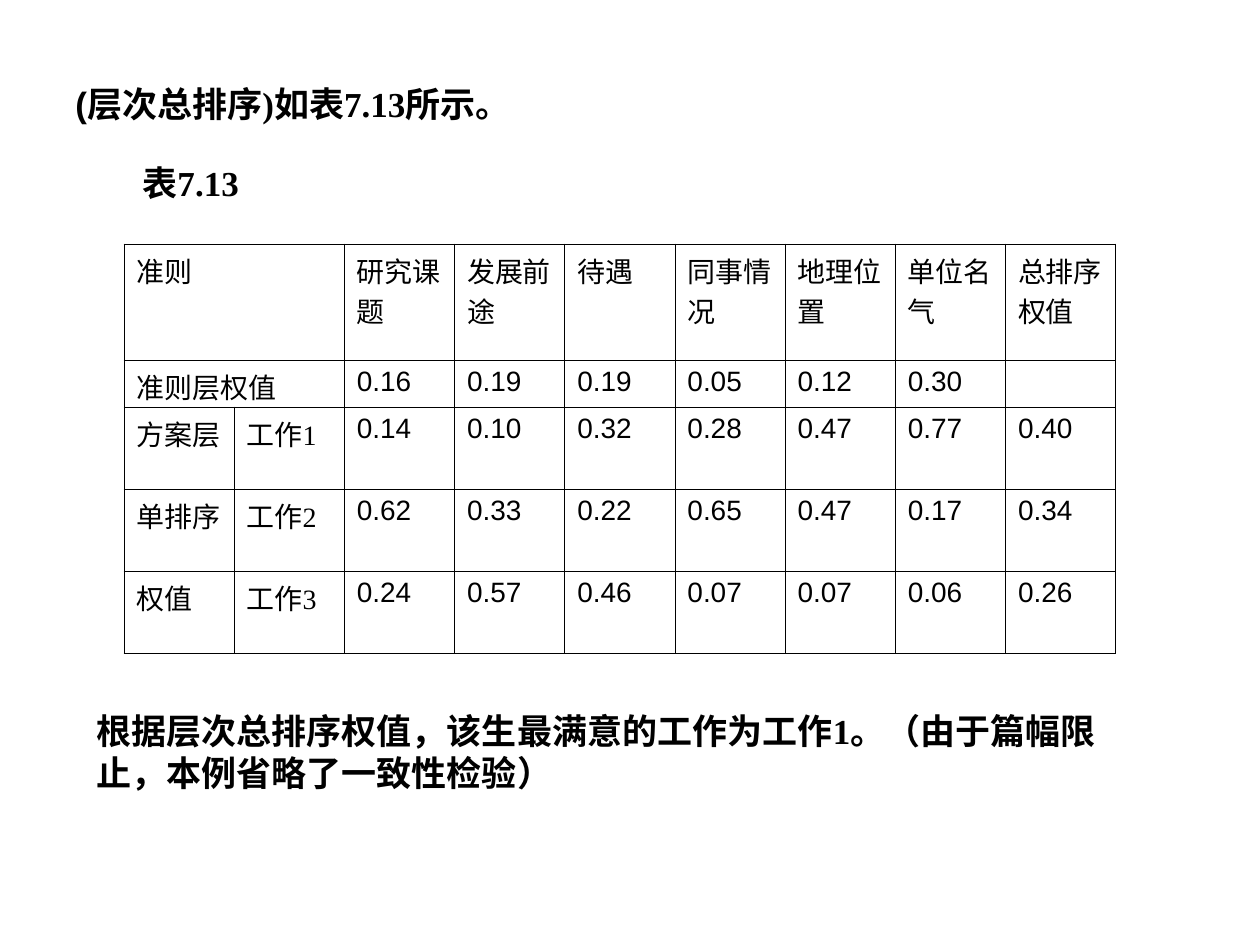
from lxml import etree
from pptx import Presentation
from pptx.dml.color import RGBColor
from pptx.enum.text import MSO_ANCHOR, MSO_AUTO_SIZE
from pptx.oxml.ns import qn
from pptx.util import Emu, Pt

MIDDLE = MSO_ANCHOR.MIDDLE
GROW = MSO_AUTO_SIZE.SHAPE_TO_FIT_TEXT
PX_PER_INCH = 126
COLORS = {"ink": "000000", "paper": "FFFFFF"}
SERIF = "Times New Roman"
SANS = "Arial"
BLANK_LAYOUT = 6

ROW_HEIGHTS = [116, 47, 82, 82, 82]
RANKING = [
    ["准则", "", "研究课题", "发展前途", "待遇", "同事情况", "地理位置", "单位名气", "总排序权值"],
    ["准则层权值", "", "0.16", "0.19", "0.19", "0.05", "0.12", "0.30", ""],
    ["方案层", "工作1", "0.14", "0.10", "0.32", "0.28", "0.47", "0.77", "0.40"],
    ["单排序", "工作2", "0.62", "0.33", "0.22", "0.65", "0.47", "0.17", "0.34"],
    ["权值", "工作3", "0.24", "0.57", "0.46", "0.07", "0.07", "0.06", "0.26"],
]


def px(length):
    return Emu(round(length * 914400 / PX_PER_INCH))


def style_font(font, name, size, bold):
    font.name = name
    font.size = Pt(size)
    font.bold = bold
    font.color.rgb = RGBColor.from_string(COLORS["ink"])


def add_text(slide, box, pieces, wrap):
    shape = slide.shapes.add_textbox(*map(px, box))
    text_frame = shape.text_frame
    text_frame.word_wrap = wrap
    text_frame.auto_size = GROW
    text_frame.vertical_anchor = MIDDLE
    paragraph = text_frame.paragraphs[0]
    for text, font_name in pieces:
        run = paragraph.add_run()
        run.text = text
        style_font(run.font, font_name, 20, True)


def add_borders(cell):
    properties = cell._tc.get_or_add_tcPr()
    for position, side in enumerate(("lnL", "lnR", "lnT", "lnB")):
        line = etree.Element(qn(f"a:{side}"), w=str(Pt(0.45)))
        fill = etree.SubElement(line, qn("a:solidFill"))
        etree.SubElement(fill, qn("a:srgbClr"), val=COLORS["ink"])
        properties.insert(position, line)


def add_ranking_table(slide, box):
    left, top, width, height = map(px, box)
    row_count, column_count = len(RANKING), len(RANKING[0])
    table = slide.shapes.add_table(
        row_count, column_count, left, top, width, height
    ).table
    table.first_row = False
    table.horz_banding = False
    for column in table.columns:
        column.width = Emu(width // column_count)
    for row, row_height in zip(table.rows, ROW_HEIGHTS):
        row.height = px(row_height)
    for row_index, values in enumerate(RANKING):
        for column_index, value in enumerate(values):
            cell = table.cell(row_index, column_index)
            cell.text = value
            cell.fill.background()
            add_borders(cell)
            is_number = row_index > 0 and column_index > 1
            paragraph = cell.text_frame.paragraphs[0]
            for styled in [paragraph, *paragraph.runs]:
                style_font(styled.font, SANS if is_number else SERIF, 16, False)
    for row_index in (0, 1):
        table.cell(row_index, 0).merge(table.cell(row_index, 1))


def main():
    presentation = Presentation()
    presentation.slide_width = px(1260)
    presentation.slide_height = px(945)
    slide = presentation.slides.add_slide(presentation.slide_layouts[BLANK_LAYOUT])
    slide.background.fill.solid()
    slide.background.fill.fore_color.rgb = RGBColor.from_string(COLORS["paper"])

    heading = [("(", SANS), ("层次总排序)如表7.13所示。", SERIF)]
    conclusion = "根据层次总排序权值，该生最满意的工作为工作1。（由于篇幅限止，本例省略了一致性检验）"
    add_text(slide, (63, 76, 510, 55), heading, False)
    add_text(slide, (130, 155, 130, 55), [("表7.13", SERIF)], False)
    add_ranking_table(slide, (124, 244, 992, sum(ROW_HEIGHTS)))
    add_text(slide, (84, 703, 1052, 97), [(conclusion, SERIF)], True)
    presentation.save("out.pptx")


if __name__ == "__main__":
    main()
